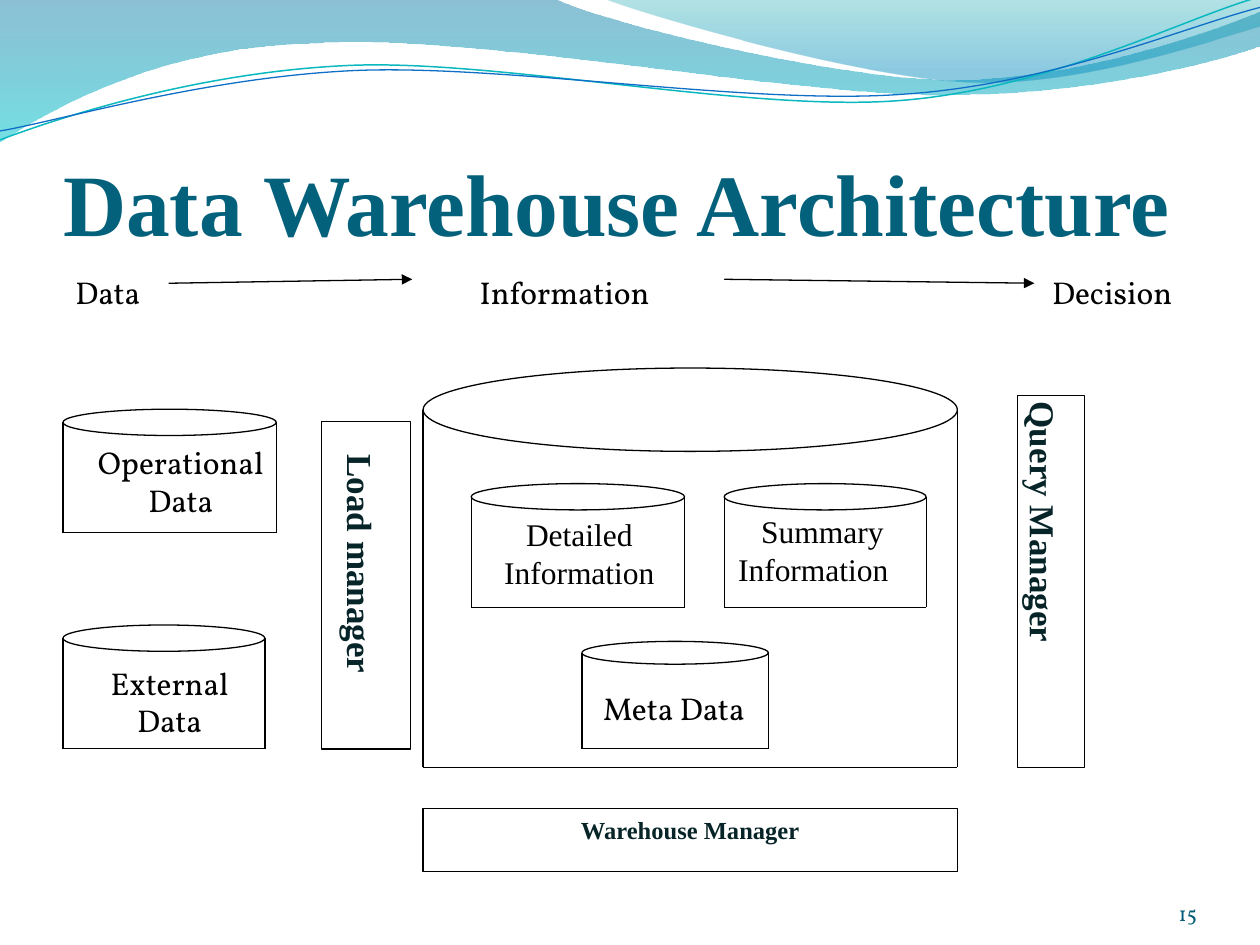
from dataclasses import dataclass
from math import cos, radians, sin
from typing import NamedTuple

from lxml import etree
from pptx import Presentation
from pptx.dml.color import RGBColor
from pptx.enum.shapes import MSO_CONNECTOR, MSO_SHAPE
from pptx.enum.text import MSO_ANCHOR, PP_ALIGN
from pptx.oxml.ns import qn
from pptx.util import Cm, Pt

STRAIGHT = MSO_CONNECTOR.STRAIGHT
OVAL, RECTANGLE = MSO_SHAPE.OVAL, MSO_SHAPE.RECTANGLE
TOP, MIDDLE, BOTTOM = MSO_ANCHOR.TOP, MSO_ANCHOR.MIDDLE, MSO_ANCHOR.BOTTOM
LEFT, CENTER, RIGHT = PP_ALIGN.LEFT, PP_ALIGN.CENTER, PP_ALIGN.RIGHT


@dataclass(frozen=True)
class Theme:
    """Colours, fonts and sizes of the slide."""
    ink: str = "000000"
    paper: str = "FFFFFF"
    title: str = "04617B"
    manager: str = "072428"
    number: str = "045D75"
    serif: str = "Times New Roman"
    body: str = "Vollkorn"
    title_size: int = 50
    manager_size: int = 20
    label_size: int = 18
    warehouse_size: int = 14
    number_size: int = 12
    line_width: float = 0.75


THEME = Theme()


class Box(NamedTuple):
    """Position and size in centimetres."""
    left: float
    top: float
    width: float
    height: float


class Margins(NamedTuple):
    """Text insets in centimetres."""
    left: float = 0.25
    top: float = 0.13
    right: float = 0.25
    bottom: float = 0.13


class Stop(NamedTuple):
    """Gradient stop with percentages."""
    position: int
    color: str
    opacity: int


@dataclass(frozen=True)
class Wave:
    """Outline of straight pairs and cubic sextuples, filled or stroked."""
    start: tuple
    segments: tuple
    stops: tuple = ()
    color: str = ""
    width: float = 0.75
    rotation: float = 0
    pivot: tuple = (12.68, 1.47)


@dataclass(frozen=True)
class Cylinder:
    """Data store with an elliptical lid and an open body."""
    lid: Box
    bottom: float


@dataclass(frozen=True)
class Label:
    """Text box content and its alignment for each line."""
    box: Box
    lines: tuple
    alignments: tuple = (LEFT,)
    font: str = THEME.body
    anchor: MSO_ANCHOR = TOP
    wrap: bool = True


WAVES = (
    Wave((0, 0), (
        (11.18, -0.03), (12.09, 0.43, 16.87, 1.6, 19.25, 1.6),
        (21.67, 1.6, 24.33, 0.66, 25.4, 0.23), (25.43, 0.91),
        (24.97, 1.12, 22.1, 1.93, 18.95, 1.91), (15.8, 1.91, 9.7, 0.71, 6.53, 0.86),
        (3.28, 0.91, 1.17, 2.11, -0.03, 2.87)),
        stops=(Stop(0, "0074A1", 45), Stop(100, "00C6CF", 55))),
    Wave((12.17, -0.03), (
        (12.93, 0.28, 17.32, 1.57, 19.53, 1.65),
        (21.74, 1.75, 24.41, 0.81, 25.4, 0.53), (25.4, 0)),
        stops=(Stop(0, "00A1A9", 30), Stop(80, "008BBF", 45))),
    Wave((0, 2.82), (
        (1.22, 2.36, 4.01, 1.45, 7.04, 1.32), (10.03, 1.19, 15.06, 2.26, 18.11, 2.03),
        (21.16, 1.8, 23.83, 0.38, 25.35, -0.05)), color="0AB8BF", width=0.85, rotation=357.3),
    Wave((0, 2.64), (
        (1.19, 2.44, 4.17, 1.55, 7.19, 1.42), (10.24, 1.3, 15.16, 2.13, 18.21, 1.9),
        (21.23, 1.7, 23.9, 0.53, 25.4, 0.15)), color="0F6FC6", rotation=357.3),
)
CYLINDERS = (
    Cylinder(Box(8.53, 7.42, 10.77, 1.68), 15.47),
    Cylinder(Box(1.27, 8.25, 4.3, 0.53), 10.74),
    Cylinder(Box(1.27, 12.6, 4.07, 0.53), 15.09),
    Cylinder(Box(11.73, 12.93, 3.76, 0.46), 15.09),
    Cylinder(Box(14.6, 9.75, 4.07, 0.53), 12.24),
    Cylinder(Box(9.5, 9.75, 4.3, 0.53), 12.24),
)
LABELS = (
    Label(Box(1.27, 5.38, 2.26, 1.22), ("Data",)),
    Label(Box(9.42, 5.38, 4.34, 1.02), ("Information",)),
    Label(Box(20.96, 5.38, 3.18, 1.22), ("Decision",)),
    Label(Box(1.5, 8.81, 4.29, 2.16), ("Operational Data",), (CENTER,)),
    Label(Box(9.65, 10.07, 4.06, 2.16), ("Detailed Information",), (CENTER,), THEME.serif, MIDDLE),
    Label(Box(14.63, 10.2, 4.06, 2.16), ("Summary ", "Information"), (CENTER, LEFT), THEME.serif),
    Label(Box(1.5, 13.25, 3.84, 2.16), ("External Data",), (CENTER,)),
    Label(Box(11.91, 13.77, 3.48, 1.22), ("Meta Data",), wrap=False),
)
ARROWS = (((3.4, 5.71), (8.31, 5.63)), ((14.6, 5.63), (20.85, 5.71)))


def write(frame, lines, *, size, color, font=THEME.serif, bold=False, alignments=(LEFT,),
          anchor=TOP, wrap=True, margins=Margins()) -> None:
    """Fill a text frame with formatted paragraphs."""
    frame.word_wrap = wrap
    frame.vertical_anchor = anchor
    frame.margin_left, frame.margin_top, frame.margin_right, frame.margin_bottom = map(Cm, margins)
    for index, (line, alignment) in enumerate(zip(lines, alignments)):
        paragraph = frame.add_paragraph() if index else frame.paragraphs[0]
        paragraph.alignment = alignment
        run = paragraph.add_run()
        run.text = line
        run.font.name, run.font.size, run.font.bold = font, Pt(size), bold
        run.font.color.rgb = RGBColor.from_string(color)


def stroke(shape, color: str = THEME.ink, width: float = THEME.line_width) -> None:
    """Give a shape or connector a solid line."""
    shape.line.color.rgb = RGBColor.from_string(color)
    shape.line.width = Pt(width)


def draw_shape(diagram, kind, box: Box):
    """Add a white outlined shape."""
    shape = diagram.shapes.add_shape(kind, *map(Cm, box))
    shape.shadow.inherit = False
    shape.fill.solid()
    shape.fill.fore_color.rgb = RGBColor.from_string(THEME.paper)
    stroke(shape)
    return shape


def draw_line(diagram, start: tuple, end: tuple, arrow: bool = False) -> None:
    """Add a straight connector, optionally ending in an arrowhead."""
    connector = diagram.shapes.add_connector(STRAIGHT, *map(Cm, start + end))
    stroke(connector)
    if arrow:
        etree.SubElement(connector.line._get_or_add_ln(), qn("a:tailEnd"), type="triangle")
    etree.SubElement(connector._element.spPr, qn("a:effectLst"))


def unturn(wave: Wave, x: float, y: float) -> tuple:
    """Give a point of the wave as it lies before its rotation."""
    angle, (pivot_x, pivot_y) = radians(-wave.rotation), wave.pivot
    across, down = x - pivot_x, y - pivot_y
    return (Cm(pivot_x + across * cos(angle) - down * sin(angle)),
            Cm(pivot_y + across * sin(angle) + down * cos(angle)))


def draw_wave(slide, wave: Wave) -> None:
    """Draw a translucent gradient wave or a curved stroke."""
    points = [unturn(wave, *segment[i:i + 2]) for segment in wave.segments
              for i in range(0, len(segment), 2)]
    builder = slide.shapes.build_freeform(*unturn(wave, *wave.start), scale=1.0)
    builder.add_line_segments(points, close=bool(wave.stops))
    shape = builder.convert_to_shape()
    shape.shadow.inherit = False
    shape.rotation = wave.rotation
    corners = iter(list(shape._element.iter(qn("a:lnTo"))))
    for segment in wave.segments:
        group = [next(corners) for _ in range(len(segment) // 2)]
        if len(group) == 3:
            curve = etree.Element(qn("a:cubicBezTo"))
            group[0].addprevious(curve)
            for corner in group:
                curve.append(corner[0])
                corner.getparent().remove(corner)
    if not wave.stops:
        shape.fill.background()
        stroke(shape, wave.color, wave.width)
        return
    shape.line.fill.background()
    shape.fill.gradient()
    gradient = shape._element.spPr.find(qn("a:gradFill"))
    for child in list(gradient):
        gradient.remove(child)
    stops = etree.SubElement(gradient, qn("a:gsLst"))
    for stop in wave.stops:
        entry = etree.SubElement(stops, qn("a:gs"), pos=str(stop.position * 1000))
        color = etree.SubElement(entry, qn("a:srgbClr"), val=stop.color)
        etree.SubElement(color, qn("a:alpha"), val=str(stop.opacity * 1000))
    etree.SubElement(gradient, qn("a:lin"), ang="5400000", scaled="0")


def draw_cylinder(diagram, cylinder: Cylinder) -> None:
    """Draw the lid and the three straight edges of a data store."""
    lid = cylinder.lid
    draw_shape(diagram, OVAL, lid)
    right, shoulder = lid.left + lid.width, lid.top + lid.height / 2
    for x in (lid.left, right):
        draw_line(diagram, (x, shoulder), (x, cylinder.bottom))
    draw_line(diagram, (lid.left, cylinder.bottom), (right, cylinder.bottom))


def draw_manager(diagram, box: Box, text: str, *, size=THEME.manager_size, vertical=True,
                 **layout) -> None:
    """Draw a manager box with horizontal or rotated text."""
    frame = draw_shape(diagram, RECTANGLE, box).text_frame
    if vertical:
        frame._txBody.bodyPr.set("vert", "vert")
    write(frame, (text,), size=size, color=THEME.manager, bold=True, **layout)


def main() -> None:
    """Build and save the warehouse architecture slide."""
    presentation = Presentation()
    presentation.slide_width, presentation.slide_height = Cm(25.4), Cm(19.05)
    slide = presentation.slides.add_slide(presentation.slide_layouts[5])
    for wave in WAVES:
        draw_wave(slide, wave)
    title = slide.shapes.title
    title.left, title.top, title.width, title.height = map(Cm, Box(1.27, 1.96, 22.86, 3.17))
    write(title.text_frame, ("Data Warehouse Architecture",), size=THEME.title_size,
          color=THEME.title, bold=True, anchor=BOTTOM, margins=Margins(0, 0.13, 0, 0))
    diagram = slide.shapes.add_group_shape()
    for cylinder in CYLINDERS:
        draw_cylinder(diagram, cylinder)
    draw_manager(diagram, Box(6.48, 8.5, 1.8, 6.6), "Load manager", anchor=BOTTOM,
                 margins=Margins(0.38, 0.66, 0.25, 0.25))
    draw_manager(diagram, Box(8.53, 16.3, 10.77, 1.27), "Warehouse Manager",
                 size=THEME.warehouse_size, vertical=False, alignments=(CENTER,))
    draw_manager(diagram, Box(20.51, 7.97, 1.35, 7.5), "Query Manager",
                 margins=Margins(0.1, 0.13, 0.39, 0.13))
    for start, end in ARROWS:
        draw_line(diagram, start, end, arrow=True)
    for label in LABELS:
        write(diagram.shapes.add_textbox(*map(Cm, label.box)).text_frame, label.lines,
              size=THEME.label_size, color=THEME.ink, font=label.font,
              alignments=label.alignments, anchor=label.anchor, wrap=label.wrap)
    number = slide.shapes.add_textbox(*map(Cm, Box(22.02, 17.65, 2.11, 1.02)))
    write(number.text_frame, ("15",), size=THEME.number_size, color=THEME.number,
          font=THEME.body, alignments=(RIGHT,), anchor=BOTTOM, margins=Margins(0, 0, 0, 0))
    presentation.save("out.pptx")


if __name__ == "__main__":
    main()
